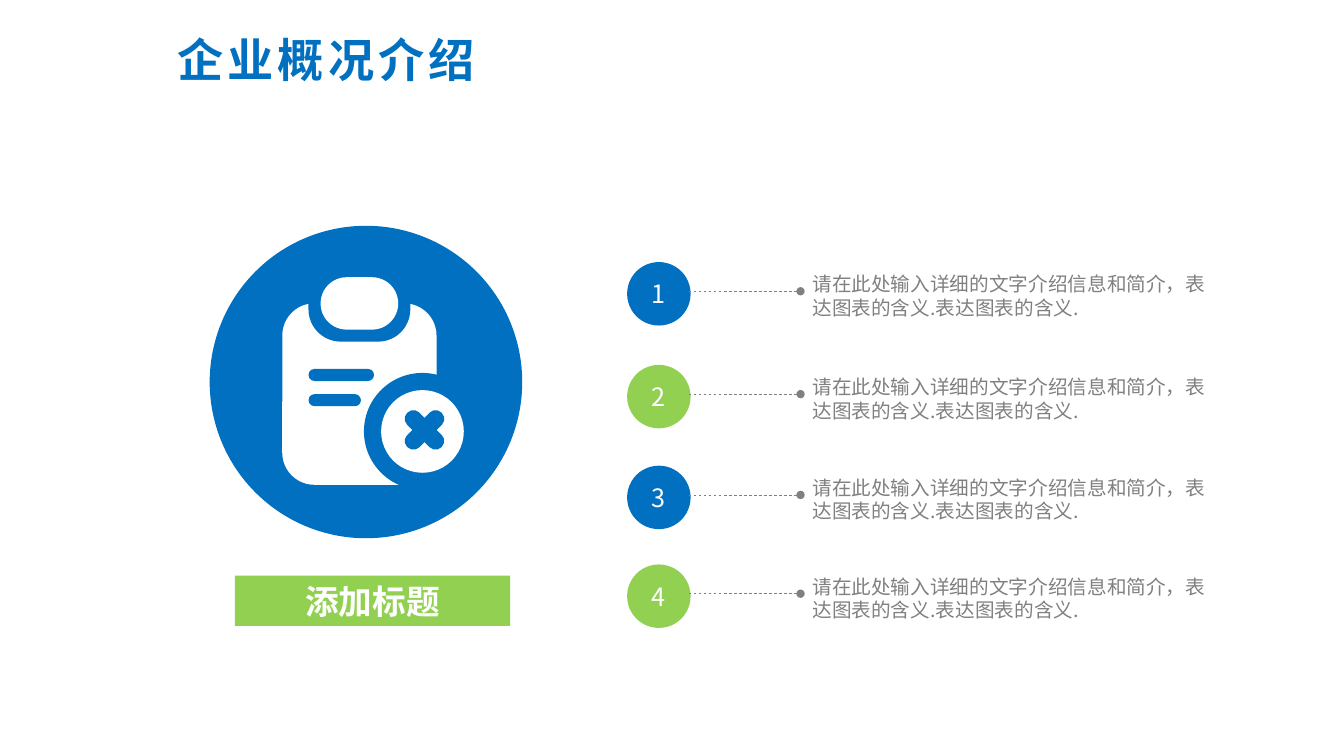
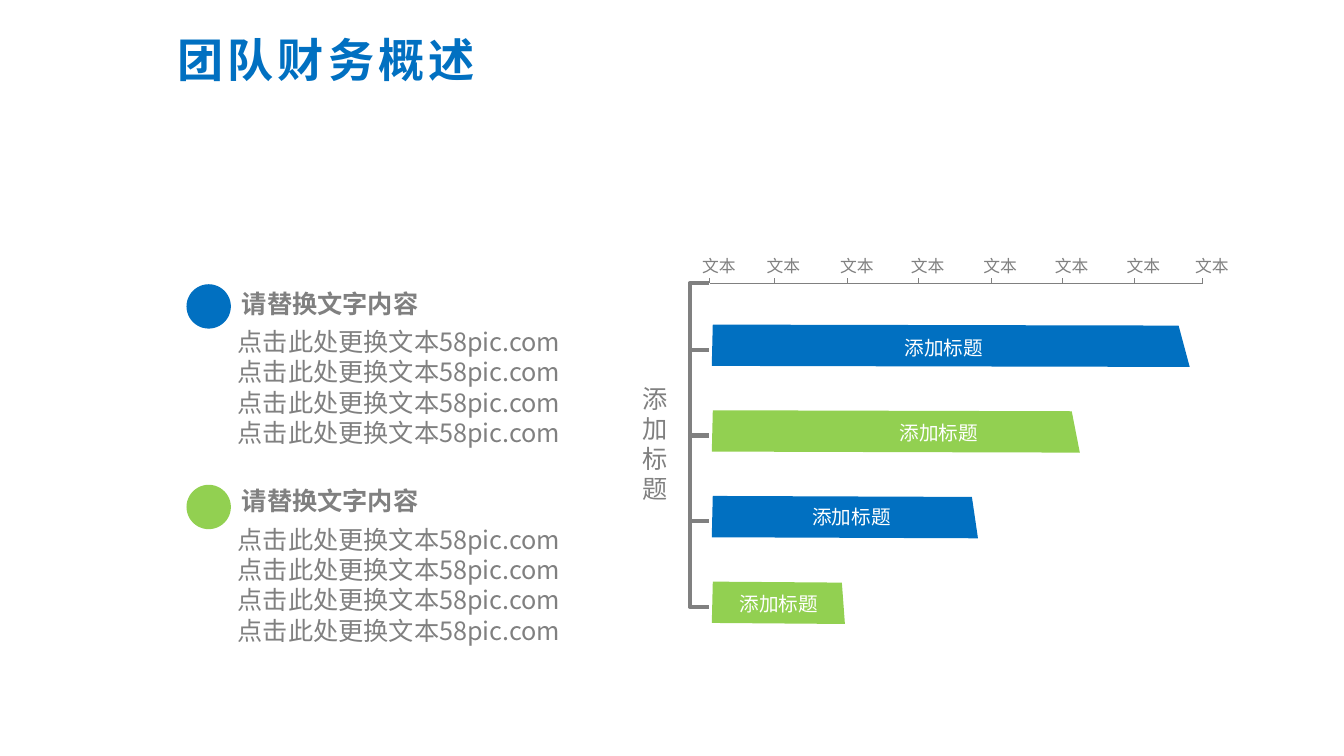
import dataclasses

import pptx
import pptx.dml.color
import pptx.enum.dml
import pptx.enum.shapes
import pptx.enum.text
import pptx.oxml
import pptx.oxml.ns
import pptx.util

Inches = pptx.util.Inches
Pt = pptx.util.Pt
SHAPE = pptx.enum.shapes.MSO_SHAPE
ALIGN = pptx.enum.text.PP_ALIGN
ANCHOR = pptx.enum.text.MSO_ANCHOR


@dataclasses.dataclass(frozen=True)
class Theme:
    blue: str = "0170C1"
    green: str = "92D051"
    grey: str = "808080"
    white: str = "FFFFFF"
    font: str = "Noto Sans CJK SC"
    title: int = 33
    caption: int = 24
    body: int = 18
    small: int = 14
    tick: int = 12


THEME = Theme()
ACCENTS = (THEME.blue, THEME.green)

# Content of the company slide
COMPANY_TITLE = "企业概况介绍"
CAPTION = "添加标题"
POINT = "请在此处输入详细的文字介绍信息和简介，表达图表的含义.表达图表的含义."
POINT_TOPS = (2.6, 3.62, 4.62, 5.6)

# Content of the finance slide
FINANCE_TITLE = "团队财务概述"
NOTE_HEADING = "请替换文字内容"
NOTE_LINES = ["点击此处更换文本58pic.com"] * 4
NOTE_TOPS = (2.75, 4.71)
NOTE_DOT_TOPS = (2.82, 4.81)
AXIS_TITLE = ["添加", "标题"]
TICK_LABEL = "文本"
TICKS = (7.04, 7.68, 8.41, 9.11, 9.83, 10.54, 11.25, 11.93)
BAR_LABEL = "添加标题"
BARS = [  # upper right, lower right, label box (left, top, width)
    (11.69, 11.8, (7.72, 3.28, 3.28)),
    (10.63, 10.71, (8.2, 4.13, 2.22)),
    (9.64, 9.7, (7.35, 4.96, 2.19)),
    (8.35, 8.38, (7.08, 5.82, 1.29)),
]


def rgb(color):
    return pptx.dml.color.RGBColor.from_string(color)


def write(shape, lines, size=THEME.body, color=THEME.grey, bold=False,
          align=ALIGN.LEFT, anchor=ANCHOR.TOP, spacing=None, tracking=None,
          margins=True):
    """Fill a shape with paragraphs that share one format."""
    frame = shape.text_frame
    frame.word_wrap = True
    frame.vertical_anchor = anchor
    if not margins:
        frame.margin_left = frame.margin_right = 0
        frame.margin_top = frame.margin_bottom = 0
    for index, line in enumerate([lines] if isinstance(lines, str) else lines):
        paragraph = frame.add_paragraph() if index else frame.paragraphs[0]
        paragraph.alignment = align
        if spacing:
            paragraph.line_spacing = spacing
        run = paragraph.add_run()
        run.text = line
        run.font.size = Pt(size)
        run.font.bold = bold
        run.font.color.rgb = rgb(color)
        run.font.name = THEME.font
        properties = run.font._element
        east_asian = pptx.oxml.parse_xml(
            f'<a:ea {pptx.oxml.ns.nsdecls("a")} typeface="{THEME.font}"/>')
        properties.find(pptx.oxml.ns.qn("a:latin")).addnext(east_asian)
        if tracking:
            properties.set("spc", str(tracking * 100))


def add_text(slide, box, lines, **text_format):
    write(slide.shapes.add_textbox(*map(Inches, box)), lines, **text_format)


def add_solid(slide, kind, box, color, radius=None, rotation=0):
    shape = slide.shapes.add_shape(kind, *map(Inches, box))
    shape.shadow.inherit = False
    shape.fill.solid()
    shape.fill.fore_color.rgb = rgb(color)
    shape.line.fill.background()
    shape.rotation = rotation
    if radius is not None:
        shape.adjustments[0] = radius / min(box[2:])
    return shape


def add_outline(slide, points, close):
    corners = [(Inches(x), Inches(y)) for x, y in points]
    builder = slide.shapes.build_freeform(*corners[0])
    builder.add_line_segments(corners[1:], close=close)
    shape = builder.convert_to_shape()
    shape.shadow.inherit = False
    return shape


def add_line(slide, start, end, width, dotted_to_end=False):
    line = slide.shapes.add_connector(
        pptx.enum.shapes.MSO_CONNECTOR.STRAIGHT, *map(Inches, start + end))
    line.line.color.rgb = rgb(THEME.grey)
    line.line.width = Pt(width)
    if dotted_to_end:
        line.line.dash_style = pptx.enum.dml.MSO_LINE.DASH
        line.line._get_or_add_ln().append(pptx.oxml.parse_xml(
            f'<a:tailEnd {pptx.oxml.ns.nsdecls("a")} type="oval"/>'))
    line._element.spPr.append(pptx.oxml.parse_xml(
        f'<a:effectLst {pptx.oxml.ns.nsdecls("a")}/>'))


def add_titled_slide(deck, title):
    slide = deck.slides.add_slide(deck.slide_layouts[6])
    add_text(slide, (1.33, 0.31, 3.81, 0.56), title, size=THEME.title,
             color=THEME.blue, bold=True, align=ALIGN.CENTER,
             anchor=ANCHOR.MIDDLE, tracking=3, margins=False)
    return slide


def add_clipboard(slide):
    """White clipboard with a cross badge on a blue disc."""
    blue, white = THEME.blue, THEME.white
    add_solid(slide, SHAPE.OVAL, (2.08, 2.24, 3.1, 3.1), blue)
    for box, color, radius in [
        ((2.8, 3.01, 1.53, 1.8), white, 0.32),     # board
        ((3.06, 2.63, 1.01, 0.76), blue, 0.32),    # gap around the clip
        ((3.18, 2.75, 0.77, 0.52), white, 0.26),   # clip
        ((3.06, 3.66, 0.65, 0.12), blue, 0.06),    # text lines
        ((3.06, 3.91, 0.52, 0.12), blue, 0.06),
    ]:
        add_solid(slide, SHAPE.ROUNDED_RECTANGLE, box, color, radius)
    for radius, color in ((0.58, blue), (0.41, white)):
        add_solid(slide, SHAPE.OVAL, (4.19 - radius, 4.28 - radius,
                                      2 * radius, 2 * radius), color)
    for angle in (45, 135):
        add_solid(slide, SHAPE.ROUNDED_RECTANGLE, (3.97, 4.18, 0.48, 0.17),
                  blue, 0.08, angle)


def build_company(deck):
    slide = add_titled_slide(deck, COMPANY_TITLE)

    # Numbered points
    for index, top in enumerate(POINT_TOPS):
        number = add_solid(slide, SHAPE.OVAL, (6.22, top, 0.63, 0.63),
                           ACCENTS[index % 2])
        write(number, str(index + 1), color=THEME.white,
              align=ALIGN.CENTER, anchor=ANCHOR.MIDDLE)
        add_line(slide, (6.83, top + 0.29), (7.94, top + 0.29), 0.5,
                 dotted_to_end=True)
        add_text(slide, (7.96, top + 0.05, 4.23, 0.87), POINT,
                 size=THEME.small)

    # Emblem and its caption
    banner = add_solid(slide, SHAPE.RECTANGLE, (2.33, 5.71, 2.73, 0.5),
                       THEME.green)
    write(banner, CAPTION, size=THEME.caption, color=THEME.white, bold=True,
          align=ALIGN.CENTER)
    add_clipboard(slide)


def build_finance(deck):
    slide = add_titled_slide(deck, FINANCE_TITLE)
    axis_top, bar_top, bar_step = 2.81, 3.22, 0.85
    spine, tooth_end = 6.84, 7.03

    # Bars with slanted ends, and their bracket teeth
    for index, (upper_right, lower_right, label) in enumerate(BARS):
        top = bar_top + index * bar_step
        bar = add_outline(slide, [(7.07, top), (7.06, top + 0.41),
                                  (lower_right, top + 0.42),
                                  (upper_right, top + 0.01)], close=True)
        bar.fill.solid()
        bar.fill.fore_color.rgb = rgb(ACCENTS[index % 2])
        bar.line.fill.background()
        add_text(slide, (*label, 0.34), BAR_LABEL, size=THEME.small,
                 color=THEME.white, align=ALIGN.CENTER)
        tooth = top + 0.25
        if index < len(BARS) - 1:
            add_line(slide, (spine, tooth), (tooth_end, tooth), 3)

    # Bracket, ending at the last tooth
    bracket = add_outline(slide, [(tooth_end, axis_top), (spine, axis_top),
                                  (spine, tooth), (tooth_end, tooth)],
                          close=False)
    bracket.fill.background()
    bracket.line.color.rgb = rgb(THEME.grey)
    bracket.line.width = Pt(3)
    add_text(slide, (6.16, 3.75, 0.68, 1.31), AXIS_TITLE, align=ALIGN.CENTER)

    # Scale
    add_line(slide, (TICKS[0], axis_top), (TICKS[-1], axis_top), 0.75)
    for x in TICKS:
        add_line(slide, (x, axis_top), (x, axis_top - 0.05), 0.75)
        add_text(slide, (x - 0.24, 2.49, 0.66, 0.3), TICK_LABEL,
                 size=THEME.tick, align=ALIGN.CENTER)

    # Notes
    for top, dot_top, color in zip(NOTE_TOPS, NOTE_DOT_TOPS, ACCENTS):
        add_text(slide, (2.26, top + 0.44, 4.97, 1.62), NOTE_LINES)
        add_text(slide, (2.3, top, 1.98, 0.45), NOTE_HEADING, bold=True,
                 spacing=1.2)
        add_solid(slide, SHAPE.OVAL, (1.85, dot_top, 0.44, 0.44), color)


def main():
    deck = pptx.Presentation()
    deck.slide_width, deck.slide_height = Inches(13.33), Inches(7.5)
    build_company(deck)
    build_finance(deck)
    deck.save("out.pptx")


if __name__ == "__main__":
    main()
